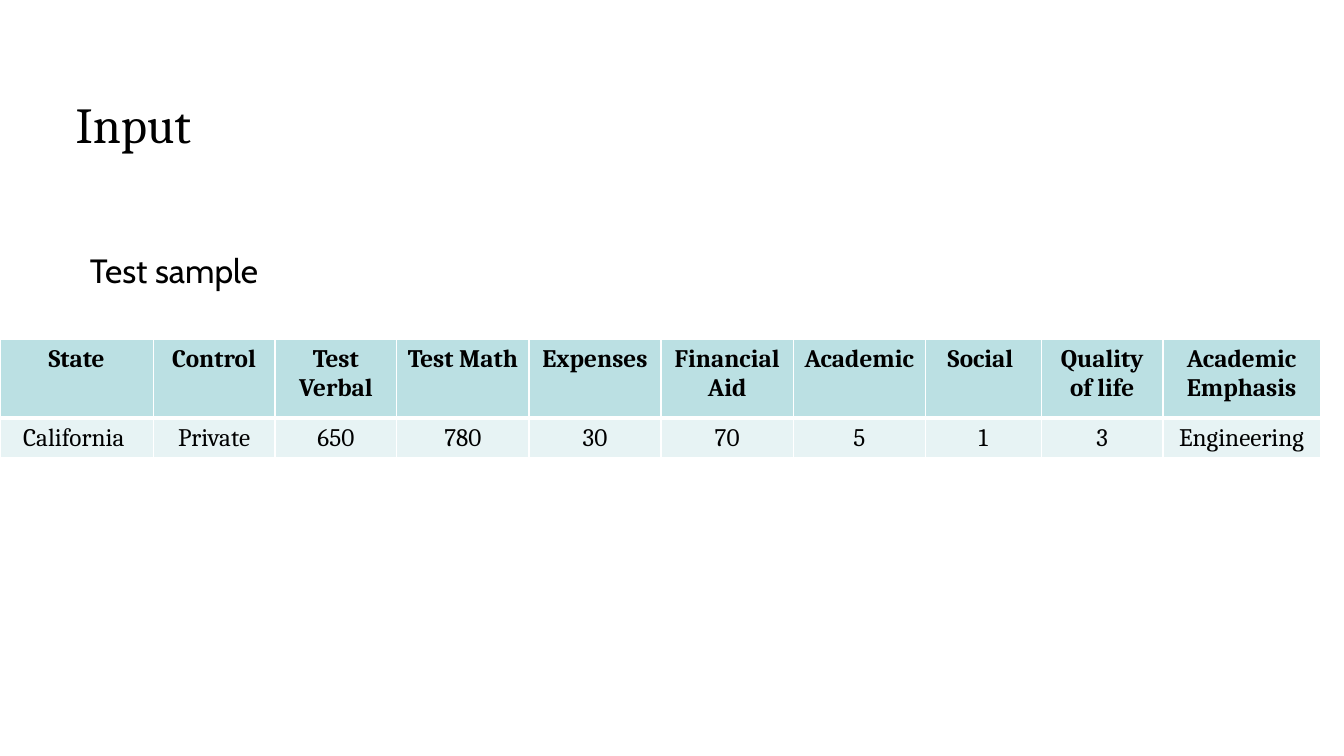
from lxml.etree import SubElement
from pptx import Presentation
from pptx.dml.color import RGBColor
from pptx.enum.text import MSO_ANCHOR as Anchor, MSO_AUTO_SIZE as AutoSize, PP_ALIGN as Align
from pptx.oxml.ns import qn
from pptx.util import Cm, Pt

COLOURS = {"text": "000000", "header": "BBE0E3", "row": "E7F3F4", "border": "FFFFFF"}
COLUMNS = [
    ("State", "California ", 3.86),
    ("Control", "Private", 3.07),
    ("Test Verbal", "650", 3.07),
    ("Test Math", "780", 3.33),
    ("Expenses", "30", 3.33),
    ("Financial Aid", "70", 3.33),
    ("Academic", "5", 3.33),
    ("Social ", "1", 2.92),
    ("Quality of life", "3", 3.07),
    ("Academic Emphasis", "Engineering", 3.96),
]


def add_span(para, text, font, size, bold=False):
    """Add one formatted run to a paragraph."""
    span = para.add_run()
    span.text = text
    span.font.name = font
    span.font.size = Pt(size)
    span.font.bold = bold
    span.font.color.rgb = RGBColor.from_string(COLOURS["text"])


def fill_placeholder(box, place, text, font, size):
    """Move a placeholder, fill it from the top left and return its paragraph."""
    box.left, box.top, box.width, box.height = (Cm(length) for length in place)
    frame = box.text_frame
    frame.word_wrap = True
    frame.auto_size = AutoSize.NONE
    frame.vertical_anchor = Anchor.TOP
    para = frame.paragraphs[0]
    para.alignment = Align.LEFT
    add_span(para, text, font, size)
    return para


def hide_bullet(para):
    """Keep the hanging indent of a list paragraph without its bullet."""
    properties = para._p.get_or_add_pPr()
    properties.set("marL", str(Cm(0.95)))
    properties.set("indent", str(-Cm(0.95)))
    SubElement(properties, qn("a:buNone"))


def set_borders(cell, widths):
    """Draw the cell's borders with a width in points for each side."""
    properties = cell._tc.get_or_add_tcPr()
    for side, width in widths.items():
        line = SubElement(properties, qn(f"a:ln{side}"), w=str(Pt(width)))
        fill = SubElement(line, qn("a:solidFill"))
        SubElement(fill, qn("a:srgbClr"), val=COLOURS["border"])


def format_cell(cell, text, fill, bold, widths):
    """Write a centred cell with its borders and fill."""
    set_borders(cell, widths)
    cell.fill.solid()
    cell.fill.fore_color.rgb = RGBColor.from_string(COLOURS[fill])
    para = cell.text_frame.paragraphs[0]
    para.alignment = Align.CENTER
    add_span(para, text, "Cambria", 18, bold)


def add_sample_table(page):
    """Add the table with the test sample."""
    total = sum(width for _, _, width in COLUMNS)
    table = page.shapes.add_table(
        2, len(COLUMNS), Cm(0), Cm(8.56), Cm(total), Cm(2.97)
    ).table
    table.rows[0].height, table.rows[1].height = Cm(1.98), Cm(0.99)
    header_lines = {"L": 1, "R": 1, "T": 1, "B": 3}
    row_lines = {"L": 1, "R": 1, "T": 3, "B": 1}
    for index, (heading, value, width) in enumerate(COLUMNS):
        table.columns[index].width = Cm(width)
        format_cell(table.cell(0, index), heading, "header", True, header_lines)
        format_cell(table.cell(1, index), value, "row", False, row_lines)


def main():
    """Build the slide and save it."""
    deck = Presentation()
    deck.slide_width, deck.slide_height = Cm(33.87), Cm(19.05)
    page = deck.slides.add_slide(deck.slide_layouts[1])
    title, body = page.placeholders
    fill_placeholder(title, (1.65, 2.21, 28.78, 3.18), "Input", "Cambria", 36)
    para = fill_placeholder(body, (2.01, 6.17, 28.78, 9.53), "Test sample", "Cabin", 24)
    hide_bullet(para)
    add_sample_table(page)
    deck.save("out.pptx")


if __name__ == "__main__":
    main()
